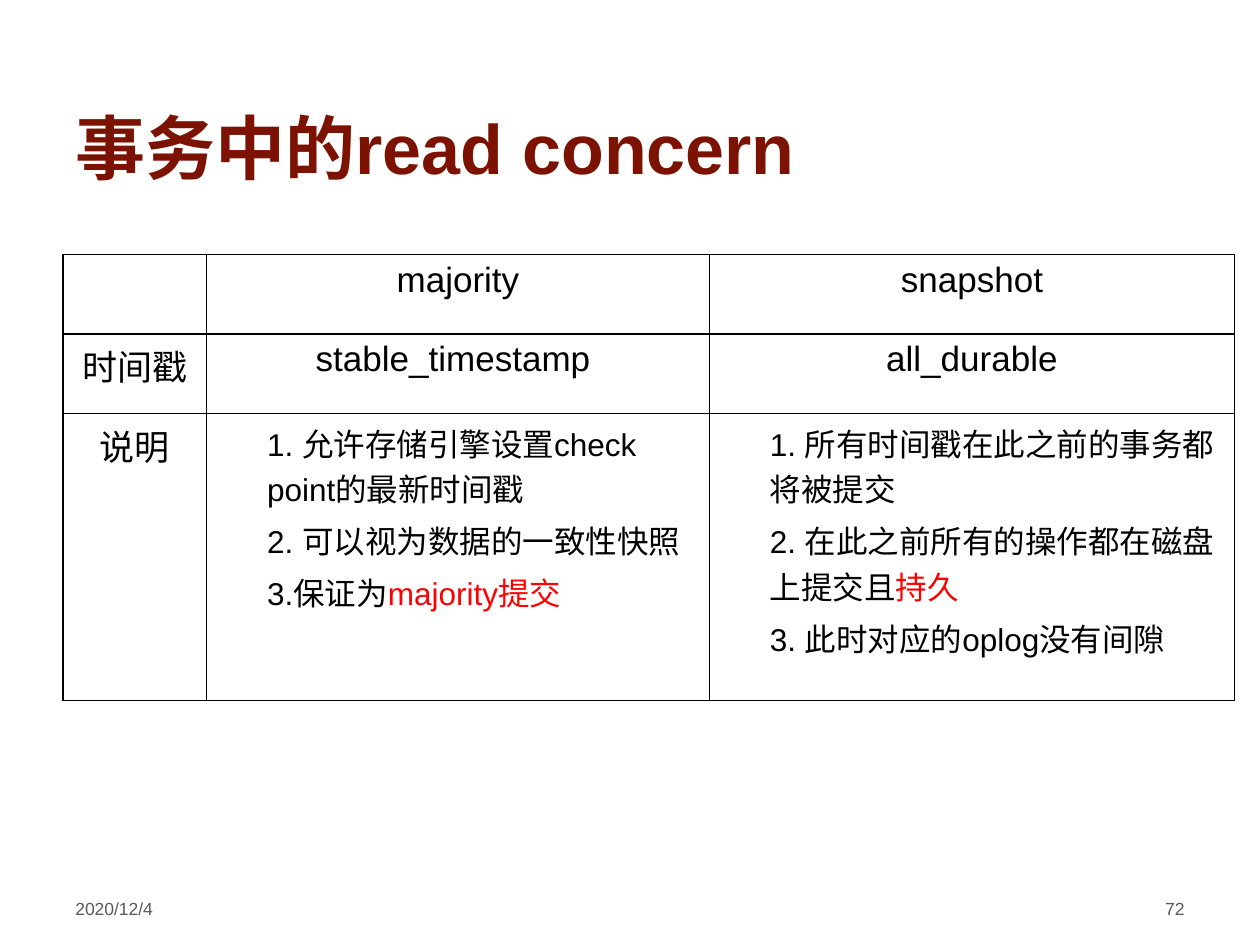
from lxml import etree
from pptx import Presentation, util as u
from pptx.dml.color import RGBColor
from pptx.enum import text
from pptx.oxml import ns

MAROON = RGBColor(0x7C, 0x13, 0x02)
GRAY = RGBColor(0x59, 0x59, 0x59)
BLACK = RGBColor(0, 0, 0)
RED = RGBColor(0xFF, 0, 0)
FONT = "Arial"
MARGIN = 0.5
COLUMNS = [1.14, 3.99, 4.17]
ROWS = [0.63, 0.63, 2.28]
LABELS = [
    ["", "majority", "snapshot"],
    ["时间戳", "stable_timestamp ", "all_durable"],
    ["说明"],
]
MAJORITY_NOTES = [
    [("1. 允许存储引擎设置check point的最新时间戳", BLACK)],
    [("2. 可以视为数据的一致性快照", BLACK)],
    [("3.保证为", BLACK), ("majority提交", RED)],
]
SNAPSHOT_NOTES = [
    [("1. 所有时间戳在此之前的事务都将被提交", BLACK)],
    [("2. 在此之前所有的操作都在磁盘上提交且", BLACK), ("持久", RED)],
    [("3. 此时对应的oplog没有间隙", BLACK)],
]


def set_font(p, size, color, bold=False):
    p.font.name = FONT
    p.font.size = u.Pt(size)
    p.font.color.rgb = color
    p.font.bold = bold


def place(sp, left, top, width, height):
    sp.left, sp.top = u.Inches(left), u.Inches(top)
    sp.width, sp.height = u.Inches(width), u.Inches(height)


def add_title(s, words):
    sp = s.shapes.title
    place(sp, MARGIN, 0.13, 8.25, 1.42)
    tf = sp.text_frame
    tf.vertical_anchor = text.MSO_ANCHOR.BOTTOM
    p = tf.paragraphs[0]
    p.text = words
    p.alignment = text.PP_ALIGN.LEFT
    set_font(p, 40, MAROON, True)


def add_footer(s, words, left, align):
    sp = s.shapes.add_textbox(u.Inches(left), u.Inches(7.08), u.Inches(2.33), u.Inches(0.39))
    sp.text_frame.word_wrap = True
    p = sp.text_frame.paragraphs[0]
    p.text = words
    p.alignment = align
    set_font(p, 10, GRAY)


def style_cell(cell):
    tcPr = cell._tc.get_or_add_tcPr()
    for side in ("lnL", "lnR", "lnT", "lnB"):
        ln = etree.SubElement(tcPr, ns.qn(f"a:{side}"), w=str(u.Pt(1)))
        fill = etree.SubElement(ln, ns.qn("a:solidFill"))
        etree.SubElement(fill, ns.qn("a:srgbClr"), val=str(BLACK))
    cell.fill.background()


def write_label(cell, words):
    p = cell.text_frame.paragraphs[0]
    p.text = words
    p.alignment = text.PP_ALIGN.CENTER
    set_font(p, 20, BLACK)


def write_notes(cell, notes):
    tf = cell.text_frame
    for i, runs in enumerate(notes):
        p = tf.add_paragraph() if i else tf.paragraphs[0]
        p.level = 1
        pPr = p._p.get_or_add_pPr()
        pPr.set("marL", str(u.Inches(0.38)))
        pPr.set("indent", "0")
        p.space_before = u.Pt(3.6)
        set_font(p, 18, BLACK)
        for words, color in runs:
            r = p.add_run()
            r.text = words
            r.font.color.rgb = color


def add_comparison(s):
    frame = s.shapes.add_table(
        len(ROWS), len(COLUMNS), u.Inches(MARGIN), u.Inches(2.02),
        u.Inches(sum(COLUMNS)), u.Inches(sum(ROWS)))
    table = frame.table
    table.first_row = table.horz_banding = False
    for column, width in zip(table.columns, COLUMNS):
        column.width = u.Inches(width)
    for row, height in zip(table.rows, ROWS):
        row.height = u.Inches(height)
    for cell in table.iter_cells():
        style_cell(cell)
    for i, labels in enumerate(LABELS):
        for j, words in enumerate(labels):
            write_label(table.cell(i, j), words)
    for j, notes in enumerate([MAJORITY_NOTES, SNAPSHOT_NOTES], 1):
        write_notes(table.cell(2, j), notes)


def main():
    prs = Presentation()
    prs.slide_width, prs.slide_height = u.Inches(10), u.Inches(7.5)
    s = prs.slides.add_slide(prs.slide_layouts[5])
    add_title(s, "事务中的read concern")
    add_footer(s, "2020/12/4", MARGIN, text.PP_ALIGN.LEFT)
    add_footer(s, "72", 7.17, text.PP_ALIGN.RIGHT)
    add_comparison(s)
    prs.save("out.pptx")


if __name__ == "__main__":
    main()
